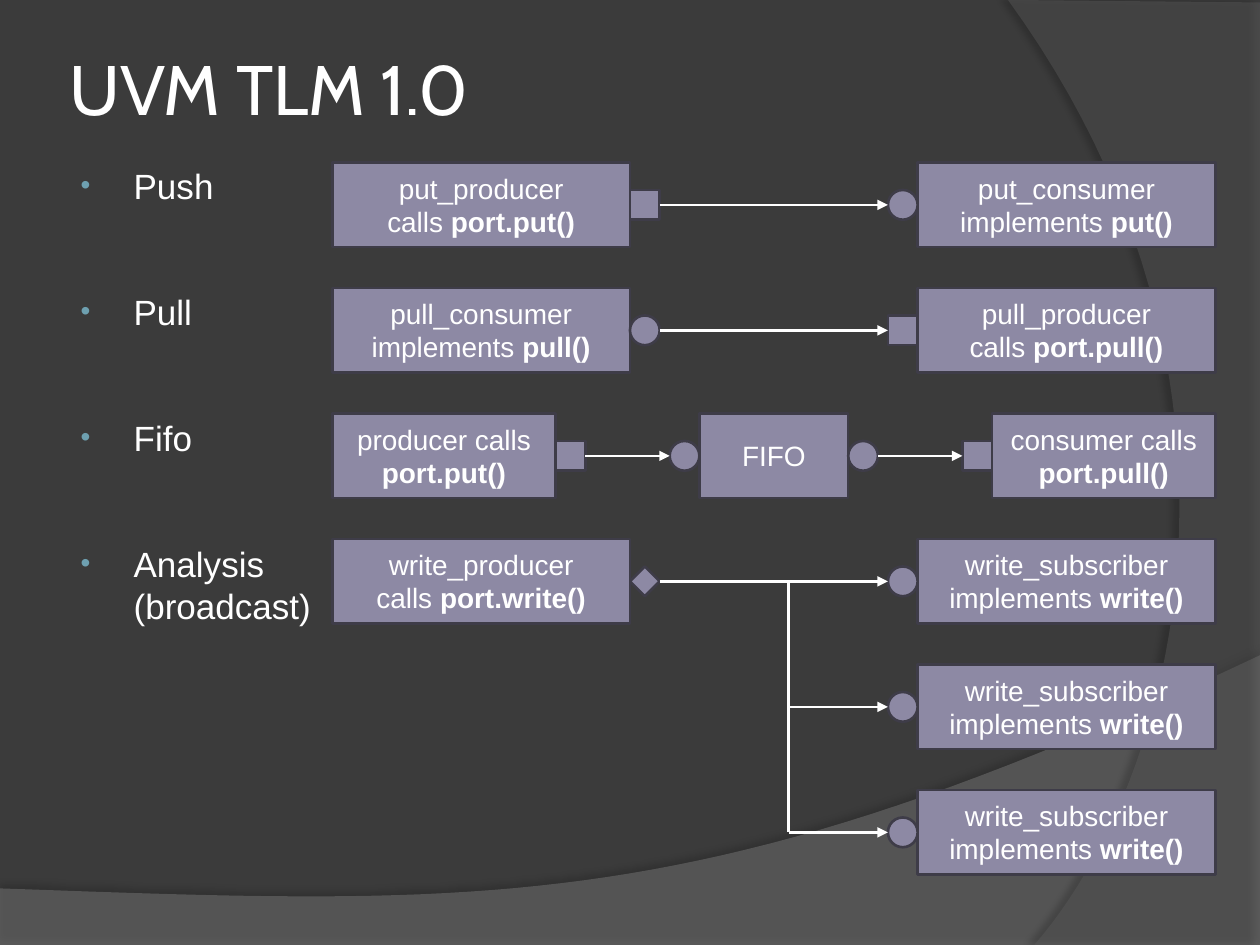
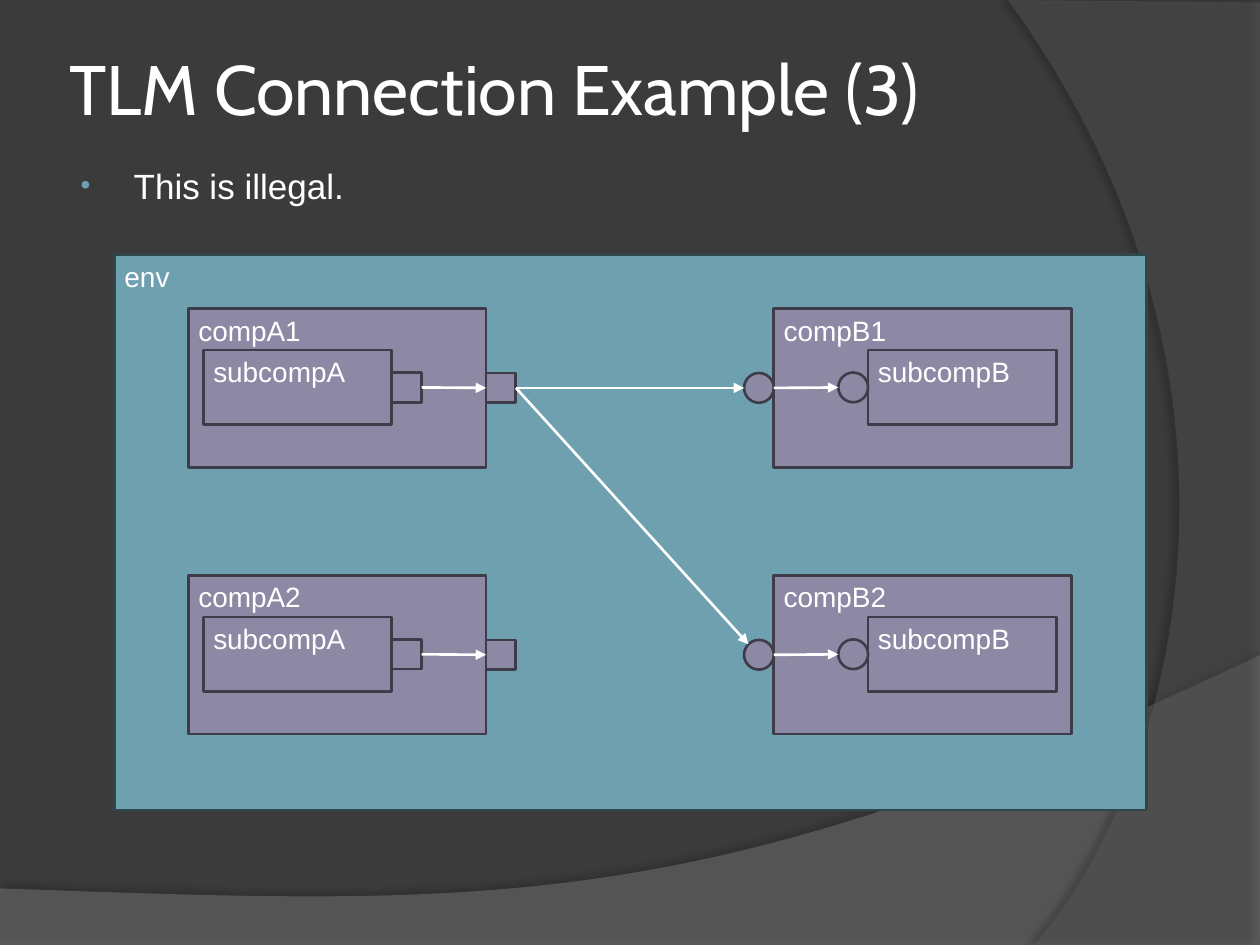
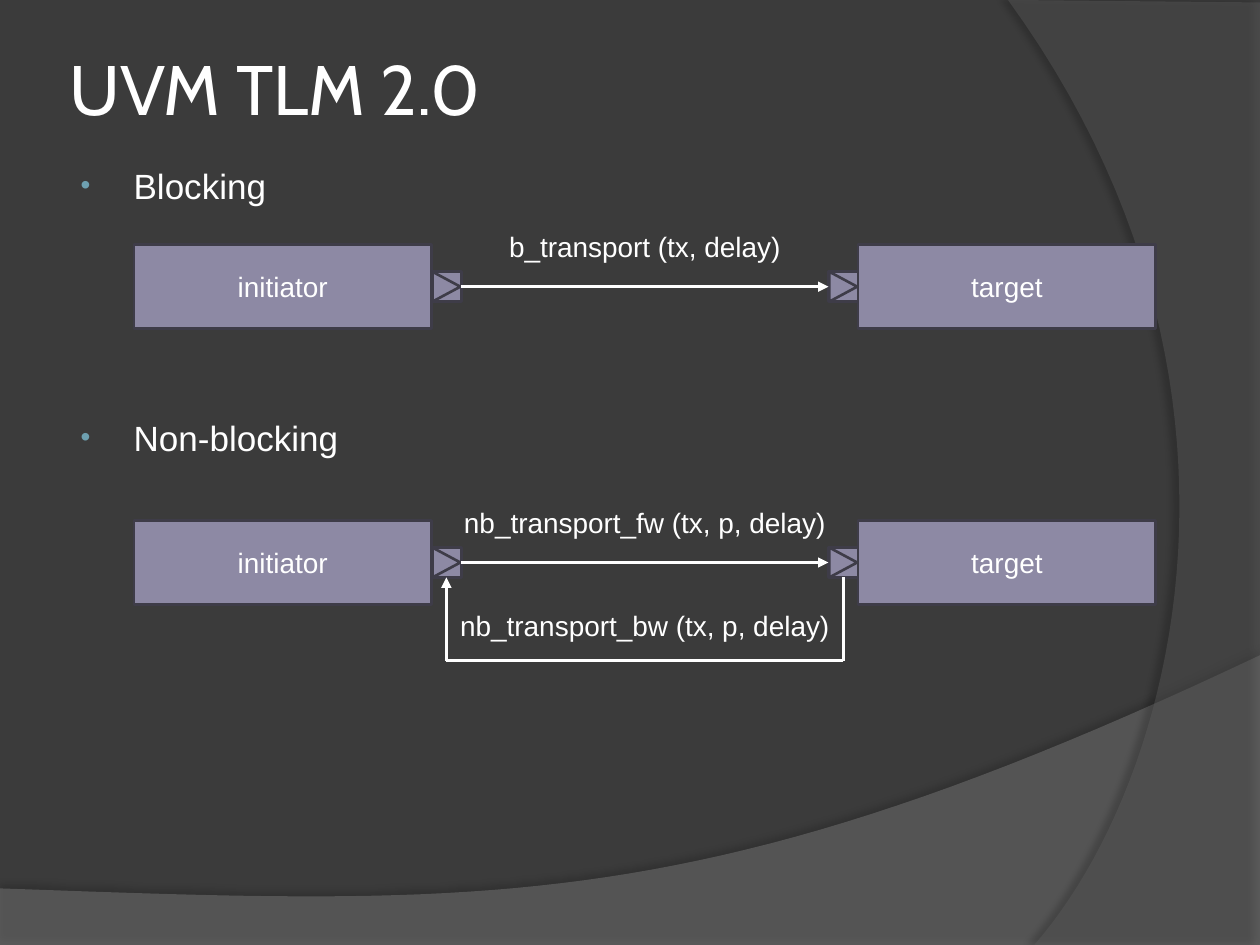
"""Build three slides on UVM TLM ports, connections and transports."""
from lxml.etree import SubElement
from pptx import Presentation
from pptx.dml.color import RGBColor
from pptx.enum.shapes import MSO_CONNECTOR, MSO_SHAPE as Preset
from pptx.enum.text import MSO_ANCHOR as Anchor, MSO_AUTO_SIZE as AutoSize, PP_ALIGN as Align
from pptx.oxml.ns import qn
from pptx.util import Cm, Pt

COLORS = {
    "background": "3B3B3B", "wave": "7F7F7F", "arc": "5E5E5E", "shadow": "000000",
    "text": "FFFFFF", "bullet": "6EA0B0", "box": "8D89A4", "box_line": "3E3C48",
    "env": "6EA0B0", "env_line": "30464D",
}
TITLE_FONT = {"name": "Cabin", "size": Pt(40)}
BODY_FONT = {"name": "Arial", "size": Pt(20)}
LABEL_FONT = {"name": "Arial", "size": Pt(16), "bold": False}
BOLD_FONT = {**LABEL_FONT, "bold": True}
TITLE_PLACE = (1.27, 0.76, 22.86, 2.0)
BODY_PLACE = (1.27, 3.18, 22.86, 14.35)
TITLE_FRAME = {
    "auto_size": AutoSize.NONE, "vertical_anchor": Anchor.MIDDLE, "margin_left": Cm(0.13),
    "margin_right": Cm(0.13), "margin_top": Cm(0.13), "margin_bottom": Cm(0.13),
}
BODY_FRAME = {"auto_size": AutoSize.NONE, "vertical_anchor": Anchor.TOP}
BOX_FRAME = {
    "word_wrap": True, "margin_left": Cm(0.2), "margin_right": Cm(0.2),
    "margin_top": Cm(0.1), "margin_bottom": Cm(0.1),
}
CENTERED = (Align.CENTER, Anchor.MIDDLE)
CORNER = (Align.LEFT, Anchor.TOP)

WAVES = [
    {"color": "wave", "alpha": 45, "corners": [(0, 17.91), (0, 19.05), (25.4, 19.05), (25.4, 13.21)],
     "curve": [(14.2, 18.52), (9.93, 18.26), (0, 17.91)],
     "shadow": {"alpha": 35, "distance": 3.5, "angle": 270}},
    {"color": "arc", "alpha": 40, "corners": [(25.4, 0.05), (25.4, 19.05), (20.85, 19.05)],
     "curve": [(23.75, 15.72), (25.86, 7.62), (20.32, 0)],
     "shadow": {"alpha": 45, "distance": 4, "angle": 180}},
]
CURVE_STEPS = 48

TOP, LEFT, BOTTOM, RIGHT = range(4)
SIDE_FRACTIONS = {TOP: (0.5, 0), LEFT: (0, 0.5), BOTTOM: (0.5, 1), RIGHT: (1, 0.5)}
PORT, EXPORT, ANALYSIS = Preset.RECTANGLE, Preset.OVAL, Preset.DIAMOND
PORT_SIZE = 0.6
BOX_WIDTH, BOX_HEIGHT = 6, 1.7

NEAR, FAR, FAR_SHORT = 6.7, 18.5, 20
SUBSCRIBER = (FAR, BOX_WIDTH, "write_subscriber\nimplements ", "write()", EXPORT, None)
CHAINS = [
    [(NEAR, BOX_WIDTH, "put_producer\ncalls ", "port.put()", None, PORT),
     (FAR, BOX_WIDTH, "put_consumer\nimplements ", "put()", EXPORT, None)],
    [(NEAR, BOX_WIDTH, "pull_consumer\nimplements ", "pull()", None, EXPORT),
     (FAR, BOX_WIDTH, "pull_producer\ncalls ", "port.pull()", PORT, None)],
    [(NEAR, 4.5, "producer calls ", "port.put()", None, PORT),
     (14.1, 3, "FIFO", "", EXPORT, EXPORT),
     (FAR_SHORT, 4.5, "consumer calls\n", "port.pull()", PORT, None)],
    [(NEAR, BOX_WIDTH, "write_producer\ncalls ", "port.write()", None, ANALYSIS), SUBSCRIBER],
    [SUBSCRIBER],
    [SUBSCRIBER],
]
CHAIN_TOP, CHAIN_PITCH, BROADCAST_ROW, TRUNK_X = 3.28, 2.53, 3, 15.9

ENV = (2.31, 5.13, 20.8, 11.2)
COMPONENT_TOP, COMPONENT_PITCH = 6.22, 5.38
COMPONENT_COLUMNS = [
    {"letter": "A", "left": 3.8, "inner_left": 4.1, "side": RIGHT, "kind": PORT},
    {"letter": "B", "left": 15.6, "inner_left": 17.5, "side": LEFT, "kind": EXPORT},
]

INITIATOR_LEFT, TARGET_LEFT = 2.7, 17.3
LABEL_CENTER, LABEL_HEIGHT = 13, 0.94
TRANSPORTS = [
    {"top": 4.93, "forward": ("b_transport (tx, delay)", 6.07), "backward": None},
    {"top": 10.49, "forward": ("nb_transport_fw (tx, p, delay)", 7.9),
     "backward": ("nb_transport_bw (tx, p, delay)", 8.05)},
]
FORWARD_OFFSET, BACKWARD_OFFSET, RETURN_OFFSET = -0.42, 1.65, 2.83


def rgb(name):
    return RGBColor.from_string(COLORS[name])


def assign(target, values):
    for name, value in values.items():
        setattr(target, name, value)


def place(shape, left, top, width, height):
    assign(shape, {"left": Cm(left), "top": Cm(top), "width": Cm(width), "height": Cm(height)})


def style_run(run, font):
    assign(run.font, font)
    run.font.color.rgb = rgb("text")


def write_label(shape, plain, bold="", layout=CENTERED):
    frame = shape.text_frame
    align, frame.vertical_anchor = layout
    paragraph = frame.paragraphs[0]
    paragraph.text = plain
    assign(paragraph, {"alignment": align, "line_spacing": Pt(19)})
    for run in paragraph.runs:
        style_run(run, LABEL_FONT)
    if bold:
        run = paragraph.add_run()
        run.text = bold
        style_run(run, BOLD_FONT)


def add_block(slide, preset, bounds, colors=("box", "box_line")):
    shape = slide.shapes.add_shape(preset, *map(Cm, bounds))
    shape.shadow.inherit = False
    shape.fill.solid()
    shape.fill.fore_color.rgb = rgb(colors[0])
    shape.line.color.rgb = rgb(colors[1])
    shape.line.width = Pt(1.5)
    return shape


def add_box(slide, bounds, plain, bold="", layout=CENTERED, colors=("box", "box_line")):
    shape = add_block(slide, Preset.RECTANGLE, bounds, colors)
    assign(shape.text_frame, BOX_FRAME)
    write_label(shape, plain, bold, layout)
    return shape


def add_port(slide, box, side, kind):
    left = box.left.cm + box.width.cm if side == RIGHT else box.left.cm - PORT_SIZE
    top = box.top.cm + (box.height.cm - PORT_SIZE) / 2
    return add_block(slide, kind, (left, top, PORT_SIZE, PORT_SIZE))


def locate(end):
    first, second = end
    if isinstance(first, int):
        return end
    across, down = SIDE_FRACTIONS[second]
    return int(first.left + first.width * across), int(first.top + first.height * down)


def can_join(end):
    return not isinstance(end[0], int) and end[0].auto_shape_type != Preset.OVAL


def connect(slide, start, end, arrow=True):
    connector = slide.shapes.add_connector(MSO_CONNECTOR.STRAIGHT, *locate(start), *locate(end))
    connector.line.color.rgb = rgb("text")
    connector.line.width = Pt(1.5)
    properties = connector.element.spPr
    if arrow:
        SubElement(properties.find(qn("a:ln")), qn("a:tailEnd"), type="triangle")
    SubElement(properties, qn("a:effectLst"))
    if can_join(start):
        connector.begin_connect(*start)
    if can_join(end):
        connector.end_connect(*end)


def bezier(points, step):
    t = step / CURVE_STEPS
    weights = ((1 - t) ** 3, 3 * t * (1 - t) ** 2, 3 * t ** 2 * (1 - t), t ** 3)
    return tuple(sum(w * point[axis] for w, point in zip(weights, points)) for axis in (0, 1))


def add_wave(slide, wave):
    controls = [wave["corners"][-1], *wave["curve"]]
    outline = wave["corners"] + [bezier(controls, step) for step in range(1, CURVE_STEPS + 1)]
    points = [(Cm(x), Cm(y)) for x, y in outline]
    builder = slide.shapes.build_freeform(*points[0])
    builder.add_line_segments(points[1:], close=True)
    shape = builder.convert_to_shape()
    shape.fill.solid()
    shape.fill.fore_color.rgb = rgb(wave["color"])
    shape.line.fill.background()
    shape.shadow.inherit = False
    properties = shape.element.spPr
    color = properties.find(qn("a:solidFill")).find(qn("a:srgbClr"))
    SubElement(color, qn("a:alpha"), val=str(wave["alpha"] * 1000))
    shadow = wave["shadow"]
    outer = SubElement(properties.find(qn("a:effectLst")), qn("a:outerShdw"),
                       blurRad=str(Pt(4)), dist=str(Pt(shadow["distance"])),
                       dir=str(shadow["angle"] * 60000), algn="ctr", rotWithShape="0")
    color = SubElement(outer, qn("a:srgbClr"), val=COLORS["shadow"])
    SubElement(color, qn("a:alpha"), val=str(shadow["alpha"] * 1000))
    return shape


def decorate_master(presentation, slide):
    master = presentation.slide_master
    master.background.fill.solid()
    master.background.fill.fore_color.rgb = rgb("background")
    for index, wave in enumerate(WAVES):
        master.shapes.element.insert(2 + index, add_wave(slide, wave).element)


def add_bullet(paragraph):
    properties = paragraph._p.get_or_add_pPr()
    properties.set("marL", str(Cm(1.17)))
    properties.set("indent", str(Cm(-1.07)))
    color = SubElement(properties, qn("a:buClr"))
    SubElement(color, qn("a:srgbClr"), val=COLORS["bullet"])
    SubElement(properties, qn("a:buSzPct"), val="80000")
    SubElement(properties, qn("a:buFont"), typeface="Arial")
    SubElement(properties, qn("a:buChar"), char="•")


def add_titled_slide(presentation, title_text, items, gap=0):
    slide = presentation.slides.add_slide(presentation.slide_layouts[1])
    title, body = slide.shapes.title, slide.placeholders[1]
    place(title, *TITLE_PLACE)
    assign(title.text_frame, TITLE_FRAME)
    title.text_frame.text = title_text
    title.text_frame.paragraphs[0].alignment = Align.LEFT
    style_run(title.text_frame.paragraphs[0].runs[0], TITLE_FONT)
    place(body, *BODY_PLACE)
    frame = body.text_frame
    assign(frame, BODY_FRAME)
    for index, item in enumerate(items):
        paragraph = frame.add_paragraph() if index else frame.paragraphs[0]
        paragraph.text = item
        assign(paragraph, {"line_spacing": Pt(24), "space_before": Pt(gap if index else 0)})
        add_bullet(paragraph)
        for run in paragraph.runs:
            style_run(run, BODY_FONT)
    return slide


def draw_chains(slide):
    entry_ports = []
    for row, chain in enumerate(CHAINS):
        exit_port = None
        for left, width, plain, bold, entry_kind, exit_kind in chain:
            bounds = (left, CHAIN_TOP + row * CHAIN_PITCH, width, BOX_HEIGHT)
            box = add_box(slide, bounds, plain, bold)
            if entry_kind:
                entry_port = add_port(slide, box, LEFT, entry_kind)
                if exit_port:
                    connect(slide, (exit_port, RIGHT), (entry_port, LEFT))
            if exit_kind:
                exit_port = add_port(slide, box, RIGHT, exit_kind)
        entry_ports.append(entry_port)
    taps = [(Cm(TRUNK_X), locate((port, LEFT))[1]) for port in entry_ports[BROADCAST_ROW:]]
    for tap, port in zip(taps[1:], entry_ports[BROADCAST_ROW + 1:]):
        connect(slide, tap, (port, LEFT))
    connect(slide, taps[0], taps[-1], arrow=False)


def draw_environment(slide):
    add_box(slide, ENV, "env", layout=CORNER, colors=("env", "env_line"))
    ports = {}
    for row in range(2):
        top = COMPONENT_TOP + row * COMPONENT_PITCH
        for column in COMPONENT_COLUMNS:
            letter, side, kind = column["letter"], column["side"], column["kind"]
            name = f"{letter}{row + 1}"
            outer = add_box(slide, (column["left"], top, 6, 3.2), f"comp{name}", layout=CORNER)
            inner = add_box(slide, (column["inner_left"], top + 0.84, 3.8, 1.5),
                            f"subcomp{letter}", layout=CORNER)
            ports[name] = add_port(slide, outer, side, kind)
            inner_port = add_port(slide, inner, side, kind)
            pair = (inner_port, ports[name]) if side == RIGHT else (ports[name], inner_port)
            connect(slide, (pair[0], RIGHT), (pair[1], LEFT))
    connect(slide, (ports["A1"], RIGHT), (ports["B1"], LEFT))
    lower = ports["B2"]
    inset = int(lower.width * (1 - 0.5 ** 0.5) / 2)
    connect(slide, (ports["A1"], RIGHT), (lower.left + inset, lower.top + inset))


def add_socket(slide, box, side):
    socket = add_port(slide, box, side, PORT)
    bounds = (socket.left.cm, socket.top.cm + 0.02, PORT_SIZE, 0.56)
    add_block(slide, Preset.ISOSCELES_TRIANGLE, bounds).rotation = 90
    return socket


def add_caption(slide, caption, top):
    text, width = caption
    bounds = (LABEL_CENTER - width / 2, top, width, LABEL_HEIGHT)
    box = slide.shapes.add_textbox(*map(Cm, bounds))
    box.text_frame.word_wrap = False
    write_label(box, text, layout=(Align.CENTER, Anchor.TOP))


def draw_transports(slide):
    for transport in TRANSPORTS:
        top = transport["top"]
        initiator = add_box(slide, (INITIATOR_LEFT, top, BOX_WIDTH, BOX_HEIGHT), "initiator")
        target = add_box(slide, (TARGET_LEFT, top, BOX_WIDTH, BOX_HEIGHT), "target")
        source = add_socket(slide, initiator, RIGHT)
        sink = add_socket(slide, target, LEFT)
        connect(slide, (source, RIGHT), (sink, LEFT))
        add_caption(slide, transport["forward"], top + FORWARD_OFFSET)
        if transport["backward"]:
            add_caption(slide, transport["backward"], top + BACKWARD_OFFSET)
            corners = [(locate((socket, BOTTOM))[0], Cm(top + RETURN_OFFSET))
                       for socket in (source, sink)]
            connect(slide, (sink, BOTTOM), corners[1], arrow=False)
            connect(slide, corners[1], corners[0], arrow=False)
            connect(slide, corners[0], (source, BOTTOM))


def main():
    presentation = Presentation()
    assign(presentation, {"slide_width": Cm(25.4), "slide_height": Cm(19.05)})
    ports_slide = add_titled_slide(
        presentation, "UVM TLM 1.0", ["Push", "Pull", "Fifo", "Analysis\n(broadcast)"], gap=48)
    decorate_master(presentation, ports_slide)
    draw_chains(ports_slide)
    draw_environment(add_titled_slide(
        presentation, "TLM Connection Example (3)", ["This is illegal."]))
    draw_transports(add_titled_slide(
        presentation, "UVM TLM 2.0", ["Blocking", "Non-blocking"], gap=120))
    presentation.save("out.pptx")


if __name__ == "__main__":
    main()
